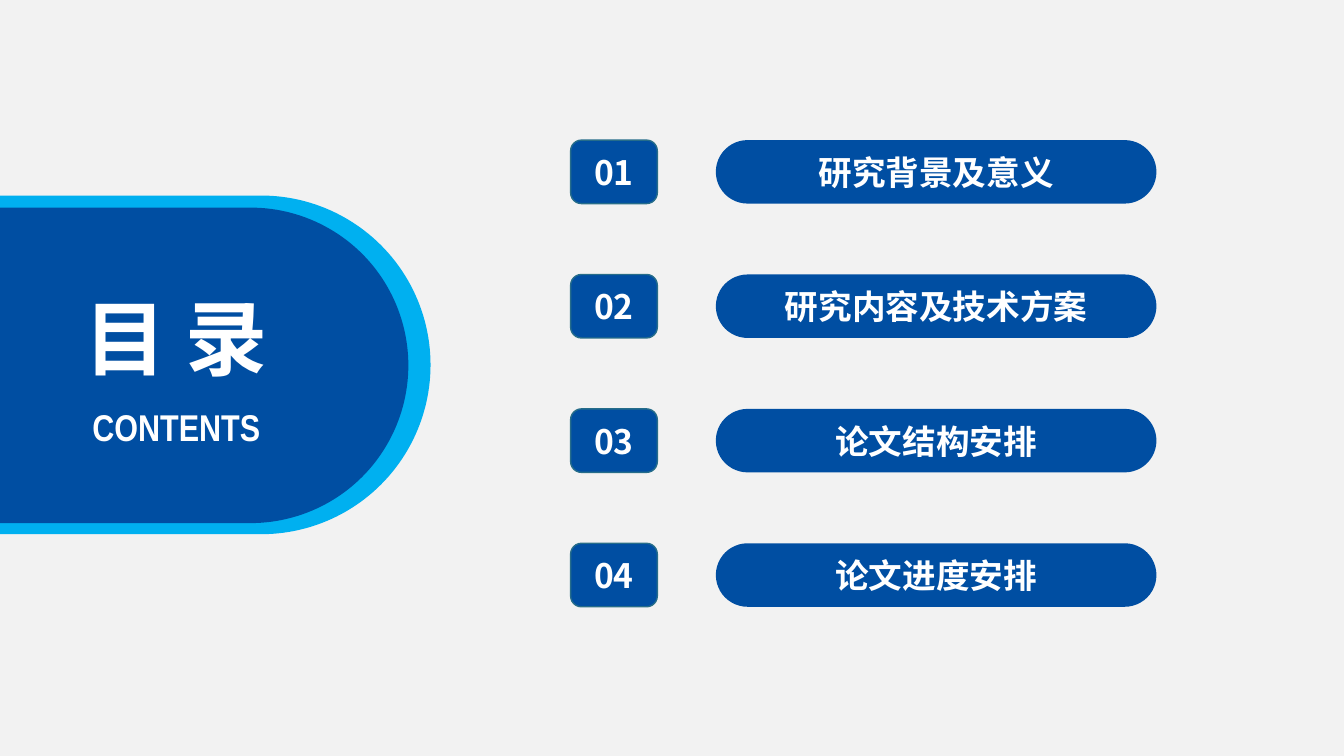
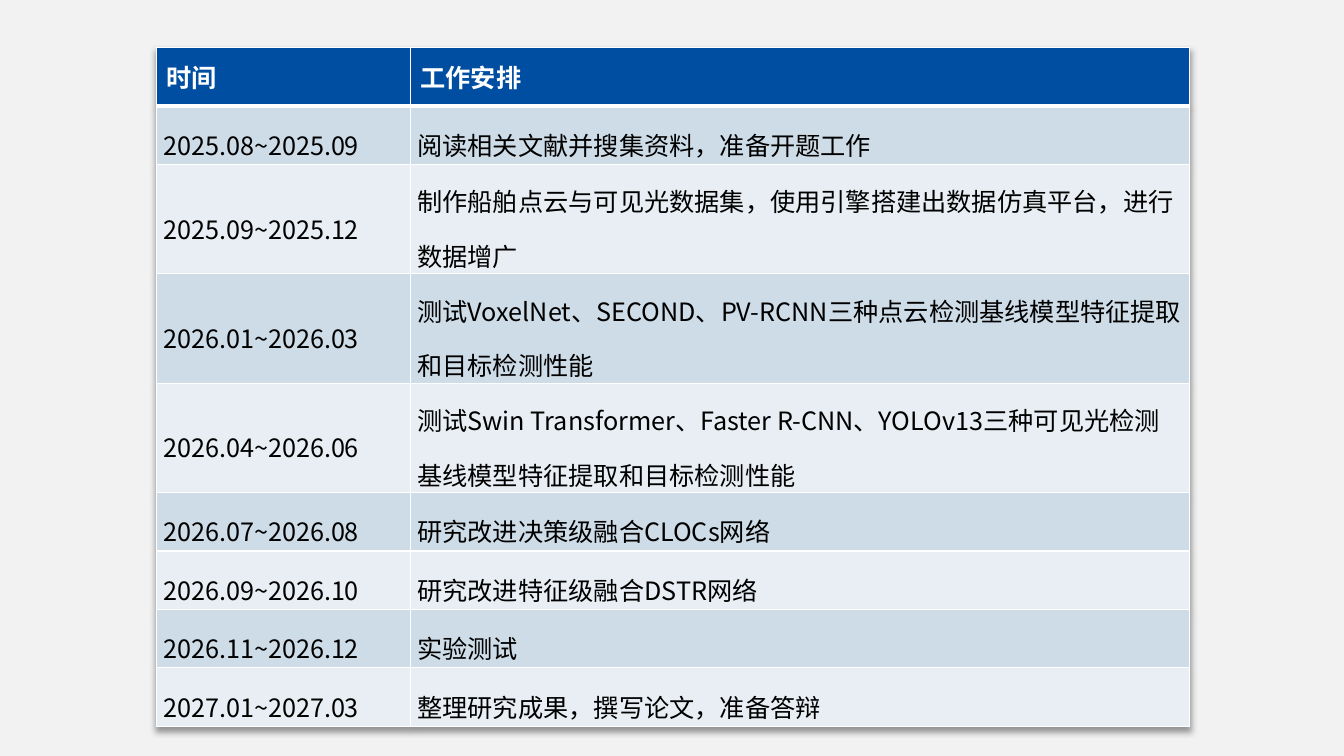
"""Build the contents slide and the schedule slide of a thesis proposal."""
from lxml.etree import SubElement
from pptx import Presentation
from pptx.dml.color import RGBColor
from pptx.enum.shapes import MSO_SHAPE as Preset
from pptx.enum.text import MSO_ANCHOR as Anchor, MSO_AUTO_SIZE as AutoSize, PP_ALIGN as Align
from pptx.oxml import parse_xml
from pptx.oxml.ns import nsdecls, qn
from pptx.util import Inches, Pt

BLUE, SKY, EDGE, WHITE, BLACK = "004EA2", "00B0F0", "266D8A", "FFFFFF", "000000"
PAGE_GREY, BANDS = "F2F2F2", ("CEDCE7", "E8EEF3")
CJK_FONT, NARROW_FONT = "Noto Sans CJK SC", "Arial Narrow"
color = RGBColor.from_string


def write(frame, text, size, hue=WHITE, bold=True, font=CJK_FONT, **para_format):
    """Put one formatted line of text into a text frame."""
    para = frame.paragraphs[0]
    for name, value in para_format.items():
        setattr(para, name, value)
    span = para.add_run()
    span.text = text
    for name, value in {"name": font, "size": Pt(size), "bold": bold}.items():
        setattr(span.font, name, value)
    span.font.color.rgb = color(hue)
    SubElement(span.font._element, qn("a:ea"), typeface=font)


def add_rounded(page, place, fill, adjust, edge=None):
    """Add a flat rounded rectangle at left, top, width, height."""
    box = page.shapes.add_shape(Preset.ROUNDED_RECTANGLE, *map(Inches, place))
    box.shadow.inherit = False
    box.adjustments[0] = adjust
    box.fill.solid()
    box.fill.fore_color.rgb = color(fill)
    if edge:
        box.line.color.rgb = color(edge)
        box.line.width = Pt(1)
    else:
        box.line.fill.background()
    box.text_frame.vertical_anchor = Anchor.MIDDLE
    return box


deck = Presentation()
deck.slide_width, deck.slide_height = Inches(13.33), Inches(7.5)
background = deck.slide_master.background.fill
background.solid()
background.fore_color.rgb = color(PAGE_GREY)
title_layout, blank_layout = deck.slide_layouts[5], deck.slide_layouts[6]

page = deck.slides.add_slide(title_layout)
add_rounded(page, (-1.91, 1.94, 6.18, 3.36), SKY, 0.5)
add_rounded(page, (-1.7, 2.06, 5.75, 3.13), BLUE, 0.5)

title = page.shapes.title
title_place = {"left": 0.7, "top": 2.8, "width": 2.09, "height": 1.09}
for name, value in title_place.items():
    setattr(title, name, Inches(value))
subtitle = page.shapes.add_textbox(Inches(0.62), Inches(3.96), Inches(2.26), Inches(0.55))
subtitle._element.addprevious(title._element)
for box in (title, subtitle):
    frame_format = {"word_wrap": False, "auto_size": AutoSize.NONE, "vertical_anchor": Anchor.MIDDLE}
    for name, value in frame_format.items():
        setattr(box.text_frame, name, value)
write(title.text_frame, "目 录", 58.6, alignment=Align.CENTER)
write(subtitle.text_frame, "CONTENTS", 26.6, font=NARROW_FONT, alignment=Align.CENTER)

chapters = ["研究背景及意义", "研究内容及技术方案", "论文结构安排", "论文进度安排"]
first_top, last_top = 1.39, 5.39
pitch = (last_top - first_top) / (len(chapters) - 1)
for index, chapter in enumerate(chapters):
    top = first_top + index * pitch
    badge = add_rounded(page, (5.66, top, 0.86, 0.63), BLUE, 0.17, EDGE)
    write(badge.text_frame, f"{index + 1:02d}", 24, alignment=Align.CENTER)
    pill = add_rounded(page, (7.1, top, 4.37, 0.63), BLUE, 0.5)
    write(pill.text_frame, chapter, 24, alignment=Align.CENTER)

page = deck.slides.add_slide(blank_layout)
schedule = [
    ("时间", "工作安排"),
    ("2025.08~2025.09", "阅读相关文献并搜集资料，准备开题工作"),
    ("2025.09~2025.12", "制作船舶点云与可见光数据集，使用引擎搭建出数据仿真平台，进行数据增广"),
    ("2026.01~2026.03", "测试VoxelNet、SECOND、PV-RCNN三种点云检测基线模型特征提取和目标检测性能"),
    ("2026.04~2026.06", "测试Swin Transformer、Faster R-CNN、YOLOv13三种可见光检测基线模型特征提取和目标检测性能"),
    ("2026.07~2026.08", "研究改进决策级融合CLOCs网络"),
    ("2026.09~2026.10", "研究改进特征级融合DSTR网络"),
    ("2026.11~2026.12", "实验测试"),
    ("2027.01~2027.03", "整理研究成果，撰写论文，准备答辩"),
]
two_line_rows = (2, 3, 4)
table = page.shapes.add_table(
    len(schedule), 2, Inches(1.55), Inches(0.47), Inches(10.25), Inches(6.45)
).table
table.horz_banding = False
table._tbl.tblPr.insert(0, parse_xml(
    f'<a:effectLst {nsdecls("a")}><a:outerShdw blurRad="50800" dist="38100" dir="5400000" '
    'algn="t" rotWithShape="0"><a:srgbClr val="000000"><a:alpha val="40000"/></a:srgbClr>'
    '</a:outerShdw></a:effectLst>'))
for column, width in zip(table.columns, (2.52, 7.73)):
    column.width = Inches(width)

body_margins = {"margin_left": 0.07, "margin_right": 0.07, "margin_top": 0, "margin_bottom": 0}
for row_index, texts in enumerate(schedule):
    is_header = row_index == 0
    table.rows[row_index].height = Inches(0.99 if row_index in two_line_rows else 0.58)
    borders = {"lnL": 1, "lnR": 1, "lnT": 3 if row_index == 1 else 1, "lnB": 3 if is_header else 1}
    for column_index, text in enumerate(texts):
        cell = table.cell(row_index, column_index)
        cell.vertical_anchor = Anchor.MIDDLE
        for side, width in borders.items():
            border = SubElement(cell._tc.get_or_add_tcPr(), qn(f"a:{side}"), w=str(Pt(width)))
            SubElement(SubElement(border, qn("a:solidFill")), qn("a:srgbClr"), val=WHITE)
        cell.fill.solid()
        cell.fill.fore_color.rgb = color(BLUE if is_header else BANDS[(row_index - 1) % 2])
        if is_header:
            write(cell.text_frame, text, 18)
        else:
            for name, value in body_margins.items():
                setattr(cell, name, Inches(value))
            write(cell.text_frame, text, 18, BLACK, False, line_spacing=1.5)

deck.save("out.pptx")
